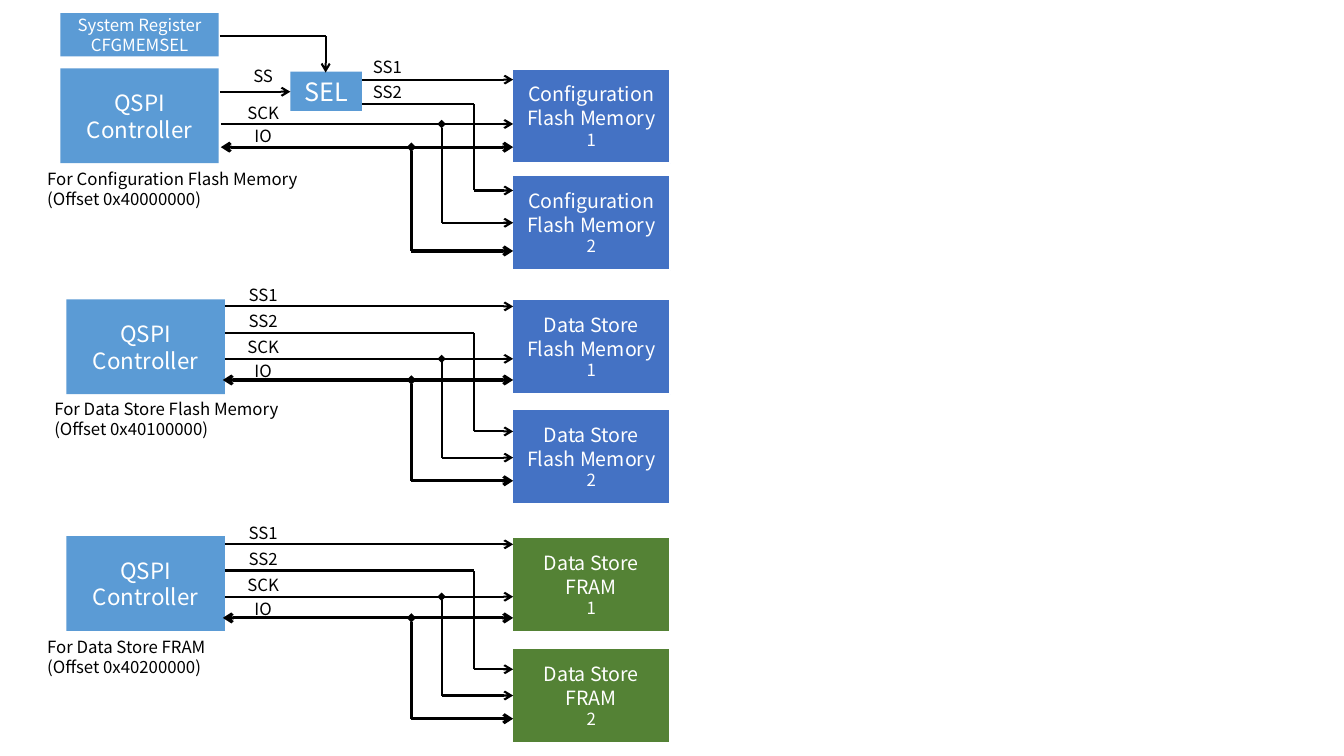
from dataclasses import dataclass
from typing import Optional

from lxml import etree
from pptx import Presentation
from pptx.dml.color import RGBColor
from pptx.enum.shapes import MSO_CONNECTOR, MSO_SHAPE
from pptx.enum.text import MSO_ANCHOR, MSO_AUTO_SIZE, PP_ALIGN
from pptx.oxml.ns import qn
from pptx.util import Inches, Pt

STRAIGHT = MSO_CONNECTOR.STRAIGHT
RECTANGLE = MSO_SHAPE.RECTANGLE
MIDDLE = MSO_ANCHOR.MIDDLE
GROW = MSO_AUTO_SIZE.SHAPE_TO_FIT_TEXT
LEFT, CENTER = PP_ALIGN.LEFT, PP_ALIGN.CENTER
CELL = 0.1
BLOCK_WIDTH, BLOCK_HEIGHT = 15.7, 9.4
CHIP_COLUMN, ARROW_COLUMN = 50.8, 50.9
LABEL_COLUMN, LABEL_WIDTH, LABEL_HEIGHT = 23.4, 5.4, 3


@dataclass(frozen=True)
class Theme:
    """Colours, font and sizes used across the slide."""
    font: str = "Noto Sans CJK JP"
    ink: str = "000000"
    paper: str = "FFFFFF"
    logic: str = "5B9BD5"
    flash: str = "4472C4"
    fram: str = "548235"
    small: float = 12
    chip: float = 14
    controller: float = 16
    selector: float = 18
    thin: float = 1.5
    thick: float = 2.25


@dataclass(frozen=True)
class Box:
    """A region measured in grid columns and rows."""
    left: float
    top: float
    width: float
    height: float

    def inner(self, column, row, width, height):
        """Return a region placed relative to this one."""
        return Box(self.left + column, self.top + row, width, height)

    def point(self, column, row):
        """Return the slide position of a grid point in this region."""
        return grid(self.left + column), grid(self.top + row)

    def lengths(self):
        """Return the region as slide lengths."""
        return [grid(value) for value in (self.left, self.top, self.width, self.height)]


@dataclass(frozen=True)
class Signal:
    """A bus signal with its trunk, branch and label places."""
    name: str
    row: float
    start: float
    label_row: float
    label_column: float = LABEL_COLUMN
    corner: Optional[float] = None
    branch_row: float = 0
    joined: bool = True
    both_ways: bool = False


THEME = Theme()


def grid(cells):
    """Convert grid cells to a slide length."""
    return Inches(cells * CELL)


def color(value):
    """Convert a hexadecimal colour."""
    return RGBColor.from_string(value)


def write_lines(frame, lines, ink, alignment):
    """Write one paragraph for each pair of text and size."""
    for index, (text, size) in enumerate(lines):
        paragraph = frame.add_paragraph() if index else frame.paragraphs[0]
        paragraph.alignment = alignment
        run = paragraph.add_run()
        run.text = text
        run.font.name = THEME.font
        run.font.size = Pt(size)
        run.font.color.rgb = color(ink)


def add_block(slide, box, lines, fill, outlined=False):
    """Add a filled rectangle with centred text."""
    shape = slide.shapes.add_shape(RECTANGLE, *box.lengths())
    shape.shadow.inherit = False
    shape.fill.solid()
    shape.fill.fore_color.rgb = color(fill)
    frame = shape.text_frame
    frame.word_wrap = True
    frame.vertical_anchor = MIDDLE
    if outlined:
        shape.line.color.rgb = color(THEME.paper)
        shape.line.width = Pt(THEME.thin)
        frame.margin_left = frame.margin_right = Inches(0.04)
    else:
        shape.line.fill.background()
    write_lines(frame, lines, THEME.paper, CENTER)


def add_text(slide, box, texts, alignment=LEFT):
    """Add small dark text."""
    frame = slide.shapes.add_textbox(*box.lengths()).text_frame
    frame.word_wrap = True
    frame.auto_size = GROW
    write_lines(frame, [(text, THEME.small) for text in texts], THEME.ink, alignment)


def add_wire(slide, box, start, end, width=THEME.thin, head=None, tail=None):
    """Add a straight wire with optional end marks."""
    wire = slide.shapes.add_connector(STRAIGHT, *box.point(*start), *box.point(*end))
    wire.line.color.rgb = color(THEME.ink)
    wire.line.width = Pt(width)
    properties = wire._element.spPr
    line = properties.find(qn("a:ln"))
    for tag, mark in (("a:headEnd", head), ("a:tailEnd", tail)):
        if mark:
            etree.SubElement(line, qn(tag)).set("type", mark)
    etree.SubElement(properties, qn("a:effectLst"))


def add_signal(slide, box, signal):
    """Draw a signal's trunk, its branch and its label."""
    width = THEME.thick if signal.both_ways else THEME.thin
    trunk_end = ARROW_COLUMN if signal.joined else signal.corner
    add_wire(slide, box, (signal.start, signal.row), (trunk_end, signal.row), width,
             "arrow" if signal.both_ways else None, "arrow" if signal.joined else None)
    if signal.corner:
        bend = (signal.corner, signal.branch_row)
        add_wire(slide, box, bend, (ARROW_COLUMN, signal.branch_row), width, tail="arrow")
        add_wire(slide, box, bend, (signal.corner, signal.row), width,
                 tail="diamond" if signal.joined else None)
    label = box.inner(signal.label_column, signal.label_row, LABEL_WIDTH, LABEL_HEIGHT)
    add_text(slide, label, [signal.name], CENTER if signal.label_column == LABEL_COLUMN else LEFT)


def add_bank(slide, box, controller, caption, caption_column, memory, fill, second_row, signals):
    """Draw a controller, its two memories and the bus between them."""
    add_block(slide, box.inner(*controller, BLOCK_WIDTH, BLOCK_HEIGHT),
              [("QSPI", THEME.controller), ("Controller", THEME.controller)], THEME.logic)
    for number, row in (("1", 0), ("2", second_row)):
        lines = [(text, THEME.chip) for text in memory] + [(number, THEME.small)]
        add_block(slide, box.inner(CHIP_COLUMN, row, BLOCK_WIDTH, BLOCK_HEIGHT), lines, fill, True)
    add_text(slide, box.inner(caption_column, BLOCK_HEIGHT, 28.3, 5), caption)
    for signal in signals:
        add_signal(slide, box, signal)


def add_selector(slide, box):
    """Draw the system register and the select block it drives."""
    add_block(slide, box.inner(6, -5.5, BLOCK_WIDTH, 4.3),
              [("System Register", THEME.small), ("CFGMEMSEL", THEME.small)], THEME.logic)
    add_block(slide, box.inner(28.8, 0.3, 7.1, 3.9), [("SEL", THEME.selector)], THEME.logic)
    add_wire(slide, box, (21.8, -3.2), (32.3, -3.2))
    add_wire(slide, box, (32.3, -3.2), (32.3, 0.4), tail="arrow")
    add_wire(slide, box, (21.8, 2.3), (28.8, 2.3), tail="arrow")
    add_text(slide, box.inner(LABEL_COLUMN, -0.8, LABEL_WIDTH, LABEL_HEIGHT), ["SS"], CENTER)


def main():
    """Build and save the slide."""
    presentation = Presentation()
    presentation.slide_width, presentation.slide_height = Inches(13.33), Inches(7.5)
    slide = presentation.slides.add_slide(presentation.slide_layouts[6])
    selected_bus = [
        Signal("SS1", 1.1, 35.8, -1.7, 36),
        Signal("SS2", 3.5, 35.8, 0.8, 36, 47, 12.1, joined=False),
        Signal("SCK", 5.5, 21.9, 2.9, corner=43.8, branch_row=15.3),
        Signal("IO", 7.8, 21.9, 5.2, corner=40.8, branch_row=18.1, both_ways=True)]
    direct_bus = [
        Signal("SS1", 0.7, 22.3, -1.9),
        Signal("SS2", 3.3, 22.3, 0.6, corner=47, branch_row=13.1, joined=False),
        Signal("SCK", 5.9, 22.3, 3.2, corner=43.8, branch_row=15.7),
        Signal("IO", 8, 22.1, 5.6, corner=40.8, branch_row=18, both_ways=True)]
    first, second, third = [Box(0, top, 66.5, 20.4) for top in (6.8, 29.7, 53.3)]
    add_bank(slide, first, (6, 0), ["For Configuration Flash Memory", "(Offset 0x40000000)"], 3.7,
             ["Configuration", "Flash Memory"], THEME.flash, 10.6, selected_bus)
    add_selector(slide, first)
    add_bank(slide, second, (6.6, 0), ["For Data Store Flash Memory", "(Offset 0x40100000)"], 4.4,
             ["Data Store", "Flash Memory"], THEME.flash, 10.9, direct_bus)
    add_bank(slide, third, (6.6, -0.1), ["For Data Store FRAM", "(Offset 0x40200000)"], 3.7,
             ["Data Store", "FRAM"], THEME.fram, 11, direct_bus)
    presentation.save("out.pptx")


main()
